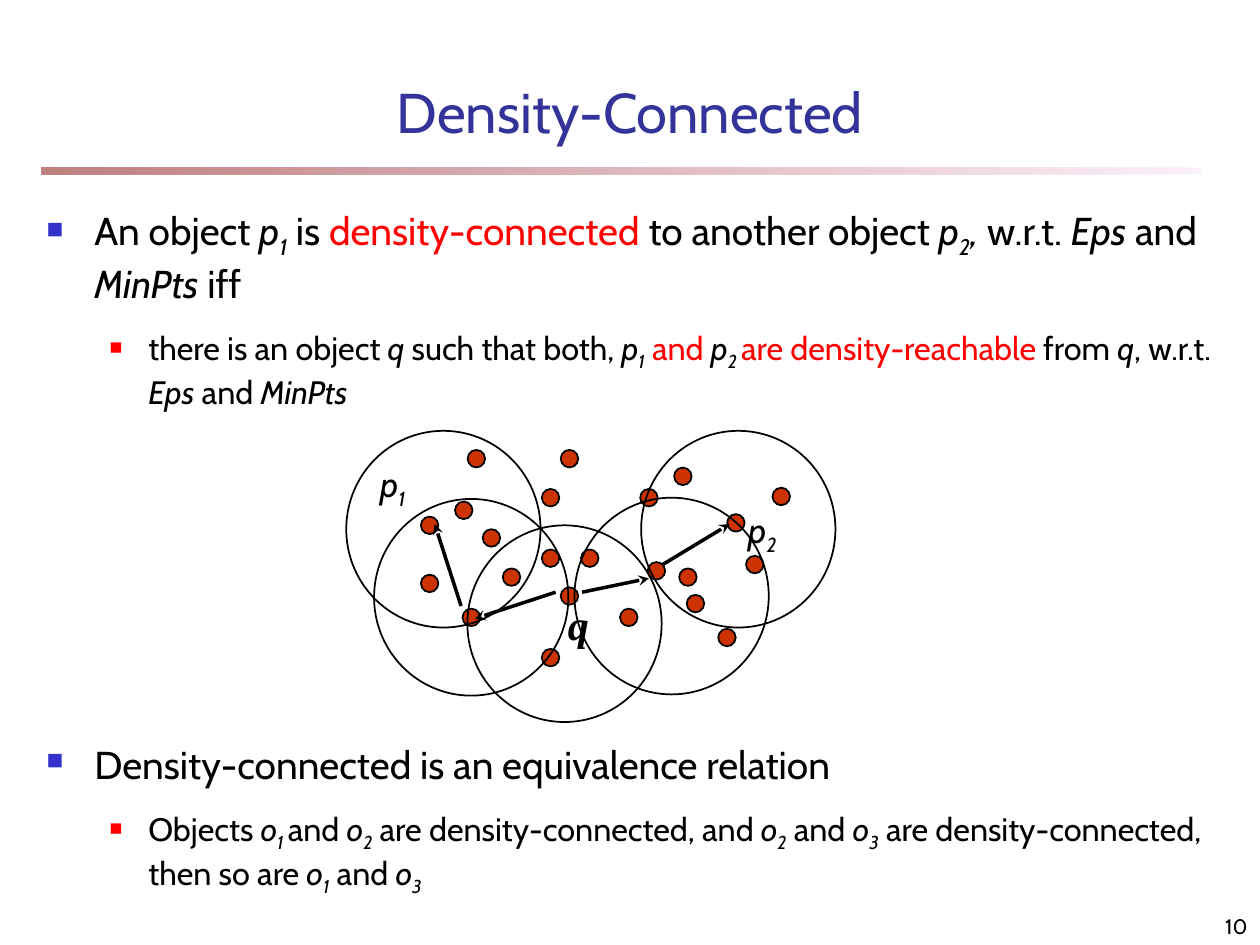
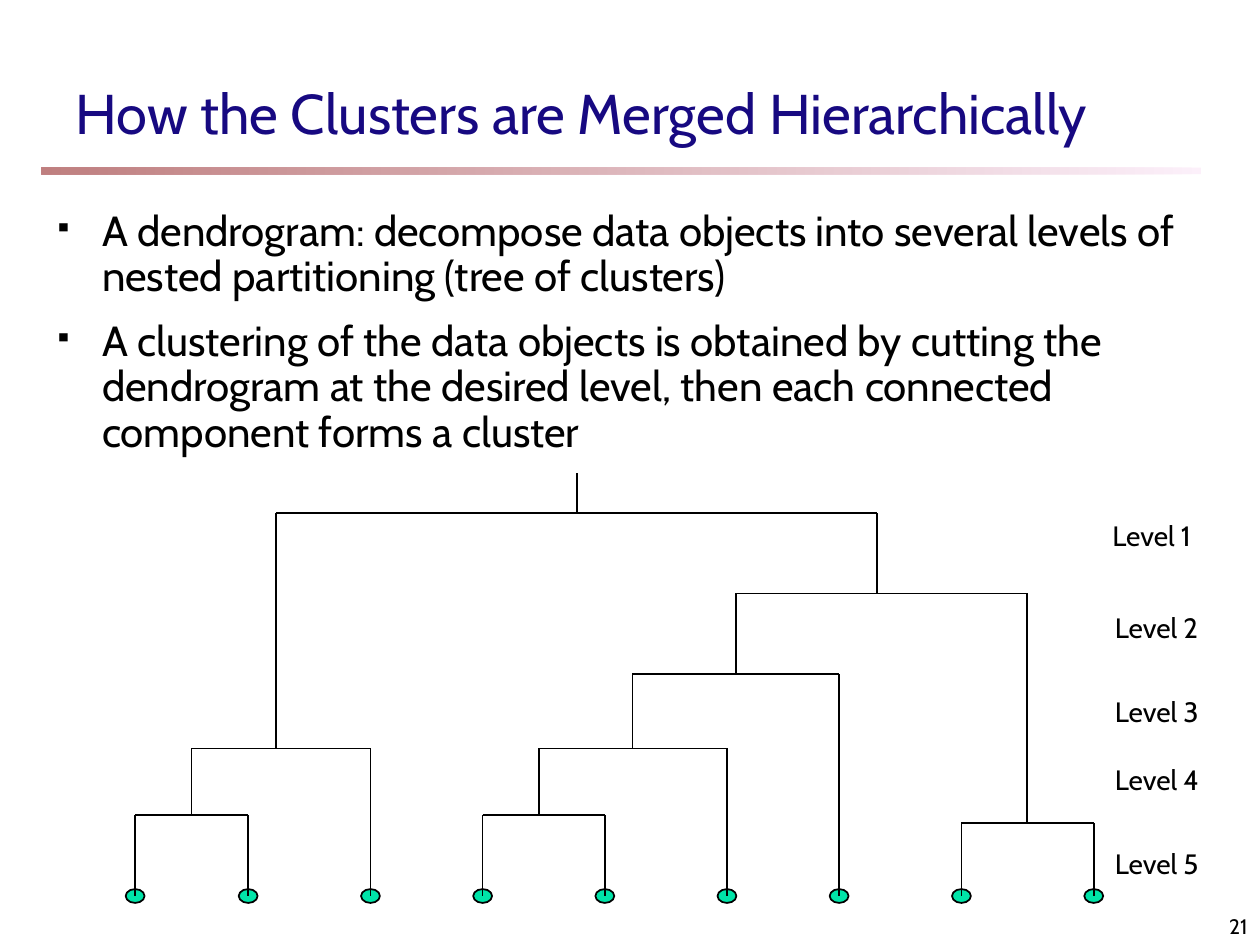
from dataclasses import dataclass

from lxml.etree import SubElement as Sub
from pptx import Presentation
from pptx.dml.color import RGBColor as RGB
from pptx.enum.shapes import MSO_CONNECTOR as Conn, MSO_SHAPE as Kind
from pptx.enum.text import MSO_ANCHOR as Anchor, MSO_AUTO_SIZE as Auto, PP_ALIGN as Align
from pptx.oxml.ns import qn
from pptx.util import Pt


@dataclass(frozen=True)
class Theme:
    font: str = "Cabin"
    serif: str = "Times New Roman"
    black: str = "000000"
    red: str = "FF0000"
    blue: str = "3333CC"
    title: str = "333399"
    navy: str = "170981"
    point: str = "CC3300"
    leaf: str = "00E4A8"
    pale: str = "FAE2F6"
    dark: str = "800000"
    head: float = 32
    body: float = 24
    main: float = 22.2
    sub: float = 18.5
    mark: float = 20
    level: float = 16
    foot: float = 12


T = Theme()

# Content: runs are split by "|"; i^ is italic, s^ italic subscript, r^ red
TITLES = ("Density-Connected", "How the Clusters are Merged Hierarchically")
DEFINE = (
    "An object |i^p|s^1| is |r^density-connected| to another object "
    "|i^p|s^2|i^,| w.r.t. |i^Eps| and |i^MinPts| iff",
    "there is an object |i^q |such that both, |i^p|s^1|r^ and |i^p|s^2 "
    "|r^are density-reachable| from |i^q|, w.r.t. |i^Eps| and |i^MinPts",
)
RELATE = (
    "Density-connected is an equivalence relation",
    "Objects |i^o|s^1 |and |i^o|s^2| are density-connected, and |i^o|s^2| and "
    "|i^o|s^3| are density-connected, then so are |i^o|s^1| and |i^o|s^3",
)
DENDRO = (
    "A dendrogram: decompose data objects into several levels of nested "
    "partitioning (tree of clusters)",
    "A clustering of the data objects is obtained by cutting the dendrogram at "
    "the desired level, then each connected component forms a cluster",
)

# Centres of the data points and of their Eps circles
POINTS = (
    (280.8, 307.4), (314.6, 319), (314.6, 284.4), (269.3, 352.8), (292.3, 329.8),
    (314.6, 375.8), (325.4, 340.6), (325.4, 262.1), (393.1, 329.8), (370.8, 284.4),
    (245.5, 333.4), (337, 319), (359.3, 352.8), (415.4, 364.3), (431.3, 322.6),
    (375.1, 326.2), (397.4, 344.9), (446.4, 283.7), (390.2, 272.2), (420.5, 298.8),
    (265, 291.6), (245.5, 300.2), (272.2, 262.1),
)
RINGS = ((269.3, 341.3), (322.6, 356.4), (383.8, 340.6), (421.9, 302.4), (253.4, 302.4))
ARROWS = (
    (317.5, 338.4, 271.4, 353.5), (332.6, 338.4, 370.8, 330.5),
    (263.5, 346.3, 248.4, 299.5), (378.7, 322.6, 416.9, 299.5),
)
MARKS = (
    ("i^p|s^1", 210.2, 260.6, {}),
    ("i^p|s^2", 420.5, 287.3, {}),
    ("i^q", 317.5, 338.4, dict(size=T.body, font=T.serif, bold=True)),
)

# Tree: leaf places, then merges as (name, left, right, bar height, stem place)
LEAVES = dict(a=77.2, b=141.8, c=211.7, d=275.8, e=345.6, f=415.4, g=479.5,
              h=549.4, i=625)
MERGES = (
    ("ab", "a", "b", 465.8, 109.4),
    ("abc", "ab", "c", 427.7, 157.7),
    ("de", "d", "e", 465.8, 308.2),
    ("def", "de", "f", 427.7, 361.4),
    ("defg", "def", "g", 385.2, 420.5),
    ("hi", "h", "i", 470.2, 586.8),
    ("d-i", "defg", "hi", 339.1, 501.1),
    ("all", "abc", "d-i", 293, 329.8),
)
BASE, PEAK = 512, 270
LEVELS = ((628.6, 293), (630, 345.6), (630, 393.1), (630, 432), (630, 480.2))

# Bullets: sign, colour, percent of text, indent, hang
OUTER = ("■", T.blue, 60, 27.4, 27.4)
INNER = ("■", T.red, 55, 58.3, 22.3)
SMALL = ("▪", T.black, 60, 27.4, 27.4)


def write(frame, text, size=T.body, color=T.black, font=T.font, bold=None,
          align=None, bullet=None, gap=None, pitch=None):
    """Add one paragraph of marked-up text to a frame."""
    para = frame.paragraphs[0]
    if para.runs:
        para = frame.add_paragraph()
        if gap:
            para.space_before = Pt(gap)
    if align is not None:
        para.alignment = align
    if pitch:
        para.line_spacing = pitch
    if bullet:
        sign, tint, part, left, hang = bullet
        props = para._p.get_or_add_pPr()
        props.set("marL", str(Pt(left)))
        props.set("indent", str(-Pt(hang)))
        Sub(Sub(props, qn("a:buClr")), qn("a:srgbClr")).set("val", tint)
        Sub(props, qn("a:buSzPct")).set("val", str(part * 1000))
        Sub(props, qn("a:buChar")).set("char", sign)
    for part in text.split("|"):
        mode, _, words = part.rpartition("^")
        run = para.add_run()
        run.text = words
        run.font.name, run.font.size, run.font.bold = font, Pt(size), bold
        run.font.color.rgb = RGB.from_string(T.red if mode == "r" else color)
        if mode in ("i", "s"):
            run.font.italic = True
        if mode == "s":
            run._r.get_or_add_rPr().set("baseline", "-25000")


def box(slide, x, y, w, h, anchor=Anchor.TOP):
    frame = slide.shapes.add_textbox(Pt(x), Pt(y), Pt(w), Pt(h)).text_frame
    frame.word_wrap = True
    frame.vertical_anchor = anchor
    return frame


def oval(slide, x, y, w, h, fill=None):
    """Draw an ellipse around a centre."""
    shape = slide.shapes.add_shape(Kind.OVAL, Pt(x - w / 2), Pt(y - h / 2), Pt(w), Pt(h))
    shape.shadow.inherit = False
    if fill:
        shape.fill.solid()
        shape.fill.fore_color.rgb = RGB.from_string(fill)
    else:
        shape.fill.background()
    shape.line.color.rgb = RGB.from_string(T.black)
    shape.line.width = Pt(1)


def line(slide, x1, y1, x2, y2, width=1, arrow=False):
    link = slide.shapes.add_connector(Conn.STRAIGHT, Pt(x1), Pt(y1), Pt(x2), Pt(y2))
    link.line.color.rgb = RGB.from_string(T.black)
    link.line.width = Pt(width)
    props = link._element.spPr
    if arrow:
        Sub(props.find(qn("a:ln")), qn("a:tailEnd")).set("type", "stealth")
    Sub(props, qn("a:effectLst"))


def band(slide):
    """Draw the fading rule below the title."""
    bar = slide.shapes.add_shape(Kind.RECTANGLE, Pt(23.8), Pt(95.8), Pt(662.4), Pt(3.8))
    bar.shadow.inherit = False
    bar.line.fill.background()
    bar.fill.gradient()
    bar.fill.gradient_angle = 180
    for stop, spot, tint in zip(bar.fill.gradient_stops, (0, 1), (T.pale, T.dark)):
        stop.position = spot
        stop.color.rgb = RGB.from_string(tint)
    for tint in bar._element.spPr.iter(qn("a:srgbClr")):
        Sub(tint, qn("a:alpha")).set("val", "50000")


def start(deck, title, number, place, color, align, anchor):
    """Add a slide with its title, rule and page number."""
    slide = deck.slides.add_slide(deck.slide_layouts[5])
    band(slide)
    head = slide.shapes.title
    head.left, head.top, head.width, head.height = map(Pt, place)
    frame = head.text_frame
    frame.auto_size = Auto.NONE
    frame.word_wrap = True
    frame.vertical_anchor = anchor
    write(frame, title, size=T.head, color=color, align=align)
    foot = box(slide, 570.2, 509.8, 149.8, 30.2, Anchor.BOTTOM)
    write(foot, number, size=T.foot, align=Align.RIGHT)
    return slide


def connect(deck):
    slide = start(deck, TITLES[0], "10", (0, 30.2, 720, 66.2), T.title,
                  Align.CENTER, Anchor.MIDDLE)
    # Definition above the sketch, relation below it
    for (main, sub), top in ((DEFINE, 114.5), (RELATE, 419.6)):
        frame = box(slide, 19.4, top, 689.8, 110)
        write(frame, main, size=T.main, bullet=OUTER)
        write(frame, sub, size=T.sub, bullet=INNER, gap=12.5)
    # Points, circles, arrows and labels
    for x, y in POINTS:
        oval(slide, x, y, 10, 10, T.point)
    for x, y in RINGS:
        oval(slide, x, y, 111, 112.4)
    for ends in ARROWS:
        line(slide, *ends, width=2, arrow=True)
    for text, x, y, look in MARKS:
        write(box(slide, x, y, 38.2, 35), text, **{"size": T.mark, **look})


def merge(deck):
    slide = start(deck, TITLES[1], "21", (36, 41, 653.8, 84.2), T.navy,
                  Align.LEFT, Anchor.TOP)
    frame = box(slide, 23.8, 116.6, 678.2, 147.6)
    for text in DENDRO:
        write(frame, text, bullet=SMALL, gap=10.9, pitch=0.9)
    # Dendrogram: each merge lifts two nodes to a shared bar
    nodes = {name: (x, BASE) for name, x in LEAVES.items()}
    for x, y in nodes.values():
        oval(slide, x, y, 10.8, 7.9, T.leaf)
    for name, left, right, bar, stem in MERGES:
        for x, y in (nodes[left], nodes[right]):
            line(slide, x, y, x, bar)
        line(slide, nodes[left][0], bar, nodes[right][0], bar)
        nodes[name] = (stem, bar)
    x, y = nodes["all"]
    line(slide, x, y, x, PEAK)
    # Level labels
    for rank, (x, y) in enumerate(LEVELS, 1):
        write(box(slide, x, y, 90, 26.6), f"Level {rank}", size=T.level)


def main():
    deck = Presentation()
    deck.slide_width, deck.slide_height = Pt(720), Pt(540)
    connect(deck)
    merge(deck)
    deck.save("out.pptx")


if __name__ == "__main__":
    main()
